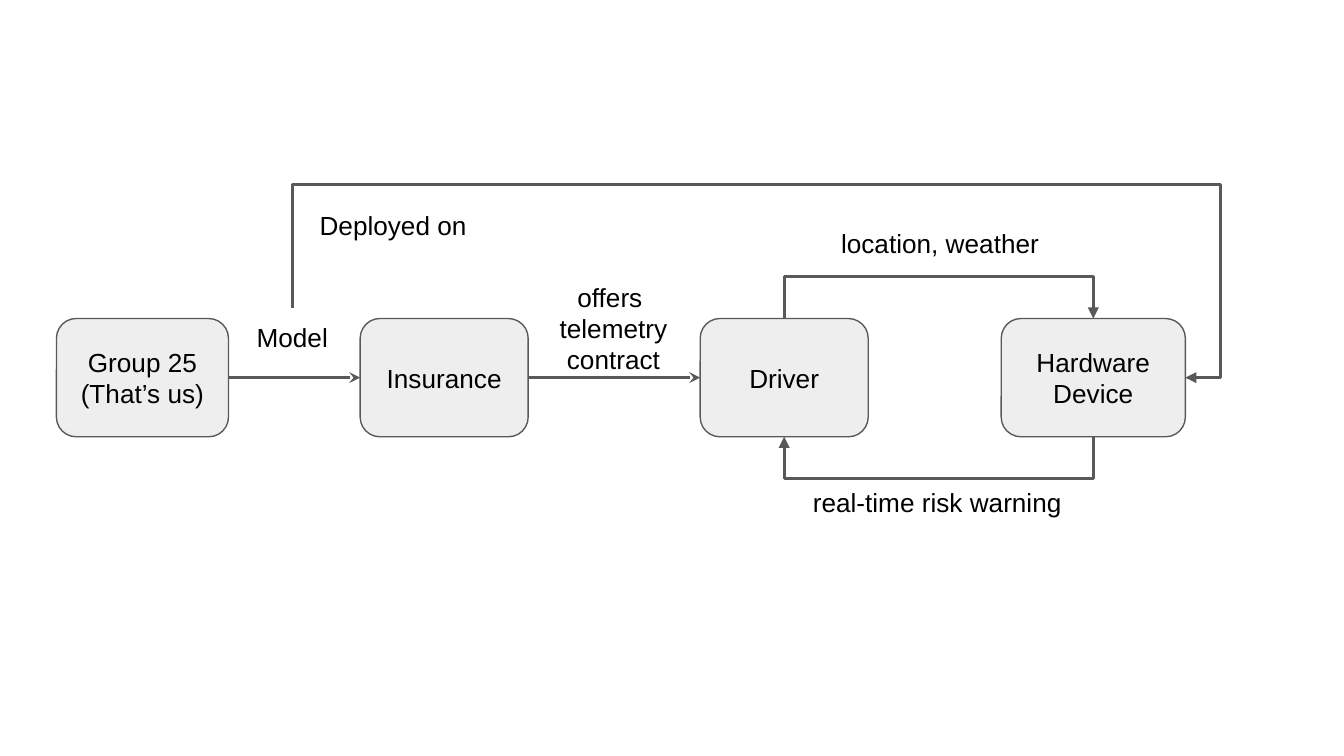
from pptx import Presentation
from pptx import util as u
from pptx.dml.color import RGBColor
from pptx.enum import shapes, text
from pptx.oxml.ns import qn
from lxml import etree

COLORS = {"box": "EEEEEE", "line": "595959", "text": "000000"}
TOP, RIGHT, BOTTOM, LEFT = 0, 3, 2, 1  # connection sites
CENTER, START = text.PP_ALIGN.CENTER, text.PP_ALIGN.LEFT

# Widescreen page, 16:9
deck = Presentation()
deck.slide_width, deck.slide_height = u.Inches(10), u.Inches(10 * 9 / 16)
page = deck.slides.add_slide(deck.slide_layouts[6])


def write(box, lines, align, anchor):
    frame = box.text_frame
    frame.word_wrap = True
    frame.vertical_anchor = anchor
    frame.margin_left = frame.margin_right = u.Inches(0.1)
    frame.margin_top = frame.margin_bottom = u.Inches(0.1)
    for i, line in enumerate(lines):
        para = frame.add_paragraph() if i else frame.paragraphs[0]
        para.alignment = align
        span = para.add_run()
        span.text = line
        span.font.size = u.Pt(14)
        span.font.name = "Arial"
        span.font.color.rgb = RGBColor.from_string(COLORS["text"])


def connect(start, start_site, end, end_site, arrow_end, arrow_type):
    link = page.shapes.add_connector(shapes.MSO_CONNECTOR.ELBOW, 0, 0, 0, 0)
    link.begin_connect(start, start_site)
    link.end_connect(end, end_site)
    link.line.width = u.Pt(1.5)
    link.line.color.rgb = RGBColor.from_string(COLORS["line"])
    props = link._element.spPr
    etree.SubElement(props.find(qn("a:ln")), qn("a:" + arrow_end), type=arrow_type)
    etree.SubElement(props, qn("a:effectLst"))
    return link


# Actors
actors = {}
for name, left, width, lines in [
    ("group", 0.42, 1.28, ["Group 25", "(That’s us)"]),
    ("insurance", 2.68, 1.25, ["Insurance"]),
    ("driver", 5.21, 1.25, ["Driver"]),
    ("device", 7.45, 1.37, ["Hardware Device"]),
]:
    box = page.shapes.add_shape(
        shapes.MSO_SHAPE.ROUNDED_RECTANGLE,
        u.Inches(left), u.Inches(2.37), u.Inches(width), u.Inches(0.88))
    box.shadow.inherit = False
    box.fill.solid()
    box.fill.fore_color.rgb = RGBColor.from_string(COLORS["box"])
    box.line.color.rgb = RGBColor.from_string(COLORS["line"])
    box.line.width = u.Pt(0.75)
    write(box, lines, CENTER, text.MSO_ANCHOR.MIDDLE)
    actors[name] = box

# Labels
labels = {}
for name, left, top, width, height, align, lines in [
    ("offer", 3.88, 1.99, 1.37, 0.78, CENTER, ["offers ", "telemetry contract"]),
    ("warning", 5.95, 3.52, 2.1, 0.47, START, ["real-time risk warning"]),
    ("location", 6.16, 1.59, 1.9, 0.4, START, ["location, weather"]),
    ("model", 1.71, 2.29, 0.93, 0.4, CENTER, ["Model"]),
    ("deployed", 2.24, 1.46, 1.37, 0.4, CENTER, ["Deployed on"]),
]:
    box = page.shapes.add_textbox(
        u.Inches(left), u.Inches(top), u.Inches(width), u.Inches(height))
    write(box, lines, align, text.MSO_ANCHOR.TOP)
    labels[name] = box

# Straight arrows between neighbours
for start, end in [("group", "insurance"), ("insurance", "driver")]:
    connect(actors[start], RIGHT, actors[end], LEFT, "tailEnd", "stealth")

# Arrows routed above or below: rise is the vertical detour from the start,
# overshoot the horizontal detour past the end
driver, device = actors["driver"], actors["device"]
for start, start_site, end, end_site, arrow_end, rise, overshoot in [
    (driver, BOTTOM, device, BOTTOM, "headEnd", 0.26, 0),
    (driver, TOP, device, TOP, "tailEnd", -0.26, 0),
    (labels["model"], TOP, device, RIGHT, "tailEnd", -0.92, 0.26),
]:
    link = connect(start, start_site, end, end_site, arrow_end, "triangle")
    across = link.end_x - link.begin_x
    down = max(link.end_y - link.begin_y, 600)
    middle_x = (link.begin_x + link.end_x) // 2
    middle_y = link.begin_y + down // 2

    # The preset path starts sideways, so it is turned a quarter and flipped
    link.left, link.top = middle_x - down // 2, middle_y - across // 2
    link.width, link.height = down, across
    frame = link._element.spPr.find(qn("a:xfrm"))
    frame.set("rot", str(270 * 60000))
    frame.set("flipH", "1")
    frame.attrib.pop("flipV", None)

    bends = [u.Inches(rise) / down]
    if overshoot:
        bends.append(1 + u.Inches(overshoot) / across)
    shape = link._element.spPr.find(qn("a:prstGeom"))
    shape.set("prst", f"bentConnector{len(bends) + 2}")
    guides = shape.find(qn("a:avLst"))
    if guides is None:
        guides = etree.SubElement(shape, qn("a:avLst"))
    for i, bend in enumerate(bends, 1):
        etree.SubElement(guides, qn("a:gd"), name=f"adj{i}",
                         fmla=f"val {round(bend * 100000)}")

deck.save("out.pptx")
